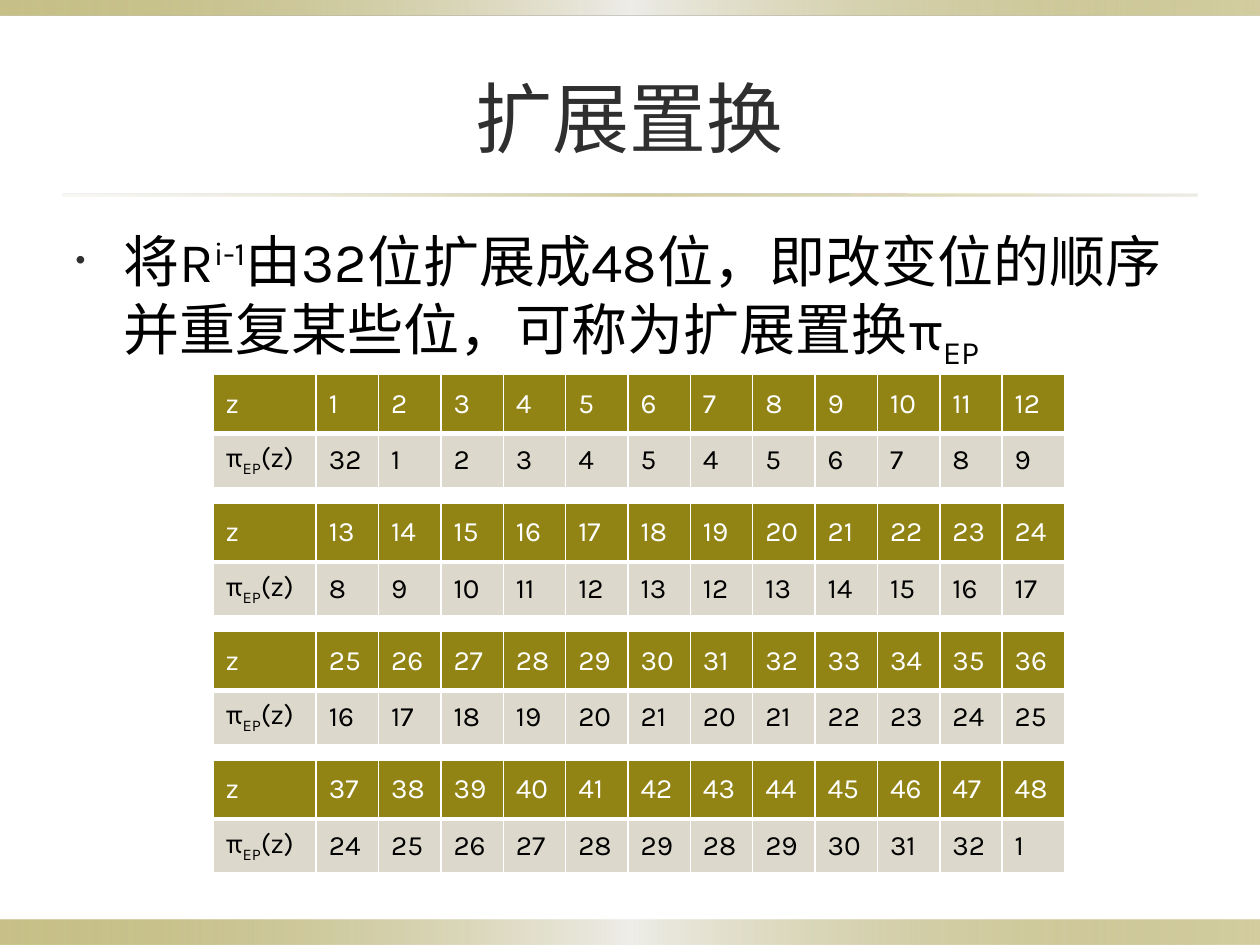
from typing import Any, NamedTuple

from lxml import etree
from pptx import Presentation
from pptx.dml.color import RGBColor
from pptx.enum.lang import MSO_LANGUAGE_ID
from pptx.enum.shapes import MSO_SHAPE
from pptx.enum.text import MSO_ANCHOR, MSO_AUTO_SIZE, PP_ALIGN
from pptx.oxml.ns import qn
from pptx.util import Inches, Pt

RECTANGLE = MSO_SHAPE.RECTANGLE
TOP, MIDDLE = MSO_ANCHOR.TOP, MSO_ANCHOR.MIDDLE
NO_AUTOFIT = MSO_AUTO_SIZE.NONE
CENTER, LEFT = PP_ALIGN.CENTER, PP_ALIGN.LEFT
CHINESE = MSO_LANGUAGE_ID.SIMPLIFIED_CHINESE

OLIVE, SAND, PALE = "918415", "DCD9CC", "EEEDE8"
INK, BLACK, WHITE = "2F2F2F", "000000", "FFFFFF"

COLUMNS = 12
TABLE_COUNT = 4
TABLE_LEFT, TABLE_TOP, TABLE_PITCH = 1.69, 2.97, 1.02
LABEL_WIDTH, NUMBER_WIDTH, TABLE_WIDTH = 0.82, 0.495, 6.76
ROW_HEIGHTS = (0.47, 0.43)


class Box(NamedTuple):
    left: float
    top: float
    width: float
    height: float


class Stop(NamedTuple):
    position: int
    color: str
    opacity: int = 100


class Band(NamedTuple):
    box: Box
    stops: tuple[Stop, ...]


class Piece(NamedTuple):
    """A stretch of text with its baseline shift in percent."""
    text: str
    shift: int = 0


class RowStyle(NamedTuple):
    fill: str
    text: str
    bottom_border: float


EDGE_STOPS = (Stop(0, OLIVE, 50), Stop(50, PALE), Stop(100, OLIVE, 40))
RULE_STOPS = (Stop(0, SAND, 20), Stop(50, OLIVE, 40), Stop(100, SAND, 50))
BANDS = (
    Band(Box(0, 7.3, 10, 0.2), EDGE_STOPS),
    Band(Box(0, 0, 10, 0.12), EDGE_STOPS),
    Band(Box(0.5, 1.54, 9, 0.02), RULE_STOPS),
)
HEADER = RowStyle(OLIVE, WHITE, 3)
VALUES = RowStyle(SAND, BLACK, 1)
PI_LABEL = (Piece("π"), Piece("EP", -25), Piece("(z)"))
EXPLANATION = (
    Piece("将R"),
    Piece("i-1", 30),
    Piece("由32位扩展成48位，即改变位的顺序并重复某些位，可称为扩展置换π"),
    Piece("EP", -25),
)


def rgb(color: str) -> RGBColor:
    return RGBColor.from_string(color)


def apply(target: Any, values: dict[str, Any]) -> None:
    for name, value in values.items():
        setattr(target, name, value)


def place(shape: Any, box: Box) -> None:
    apply(shape, {name: Inches(value) for name, value in box._asdict().items()})


def write(paragraph: Any, pieces: tuple[Piece, ...], size: float, color: str) -> None:
    for piece in pieces:
        run = paragraph.add_run()
        run.text = piece.text
        apply(run.font, {"name": "Karla", "size": Pt(size), "bold": False,
                         "language_id": CHINESE})
        run.font.color.rgb = rgb(color)
        if piece.shift:
            run.font._element.set("baseline", str(piece.shift * 1000))


def draw_band(slide: Any, band: Band) -> None:
    shape = slide.shapes.add_shape(RECTANGLE, *map(Inches, band.box))
    shape.shadow.inherit = False
    shape.line.fill.background()
    shape.fill.gradient()
    shape.fill.gradient_angle = 0
    stop_list = shape._element.spPr.find(qn("a:gradFill")).find(qn("a:gsLst"))
    for old_stop in list(stop_list):
        stop_list.remove(old_stop)
    for stop in band.stops:
        node = etree.SubElement(stop_list, qn("a:gs"), pos=str(stop.position * 1000))
        color = etree.SubElement(node, qn("a:srgbClr"), val=stop.color)
        etree.SubElement(color, qn("a:alpha"), val=str(stop.opacity * 1000))


def add_bullet(paragraph: Any) -> None:
    properties = paragraph._p.get_or_add_pPr()
    indent = Inches(0.38)
    properties.set("marL", str(indent))
    properties.set("indent", str(-indent))
    color = etree.SubElement(properties, qn("a:buClr"))
    etree.SubElement(color, qn("a:srgbClr"), val=INK)
    etree.SubElement(properties, qn("a:buSzPct"), val="50000")
    etree.SubElement(properties, qn("a:buFont"), typeface="Arial")
    etree.SubElement(properties, qn("a:buChar"), char="•")


def add_borders(cell: Any, bottom: float) -> None:
    properties = cell._tc.get_or_add_tcPr()
    for side, width in {"L": 1, "R": 1, "T": 1, "B": bottom}.items():
        line = etree.SubElement(properties, qn(f"a:ln{side}"), w=str(Pt(width)))
        fill = etree.SubElement(line, qn("a:solidFill"))
        etree.SubElement(fill, qn("a:srgbClr"), val=WHITE)


def fill_cell(cell: Any, pieces: tuple[Piece, ...], style: RowStyle) -> None:
    add_borders(cell, style.bottom_border)
    cell.fill.solid()
    cell.fill.fore_color.rgb = rgb(style.fill)
    cell.vertical_anchor = MIDDLE
    write(cell.text_frame.paragraphs[0], pieces, 16, style.text)


def expanded(z: int) -> int:
    """Source bit for output bit z: each block of six overlaps the next by two."""
    return (z - 2 - 2 * ((z - 1) // 6)) % 32 + 1


def draw_permutation_table(slide: Any, index: int) -> None:
    box = Box(TABLE_LEFT, TABLE_TOP + index * TABLE_PITCH, TABLE_WIDTH, sum(ROW_HEIGHTS))
    table = slide.shapes.add_table(2, COLUMNS + 1, *map(Inches, box)).table
    table.horz_banding = False
    for row, height in zip(table.rows, ROW_HEIGHTS):
        row.height = Inches(height)
    for number, column in enumerate(table.columns):
        column.width = Inches(NUMBER_WIDTH if number else LABEL_WIDTH)

    fill_cell(table.cell(0, 0), (Piece("z"),), HEADER)
    fill_cell(table.cell(1, 0), PI_LABEL, VALUES)
    for column in range(1, COLUMNS + 1):
        z = index * COLUMNS + column
        fill_cell(table.cell(0, column), (Piece(str(z)),), HEADER)
        fill_cell(table.cell(1, column), (Piece(str(expanded(z))),), VALUES)


def main() -> None:
    presentation = Presentation()
    apply(presentation, {"slide_width": Inches(10), "slide_height": Inches(7.5)})
    slide = presentation.slides.add_slide(presentation.slide_layouts[1])
    for band in BANDS:
        draw_band(slide, band)

    title, body = slide.shapes.title, slide.placeholders[1]
    place(title, Box(0.5, 0.3, 9, 1.25))
    place(body, Box(0.5, 1.75, 9, 5.13))
    for placeholder, anchor in ((title, MIDDLE), (body, TOP)):
        apply(placeholder.text_frame, {"word_wrap": True, "auto_size": NO_AUTOFIT,
                                       "vertical_anchor": anchor})

    heading = title.text_frame.paragraphs[0]
    heading.alignment = CENTER
    write(heading, (Piece("扩展置换"),), 44, INK)
    explanation = body.text_frame.paragraphs[0]
    add_bullet(explanation)
    apply(explanation, {"alignment": LEFT, "space_before": Pt(0)})
    write(explanation, EXPLANATION, 32, BLACK)

    for index in range(TABLE_COUNT):
        draw_permutation_table(slide, index)
    presentation.save("out.pptx")


if __name__ == "__main__":
    main()
